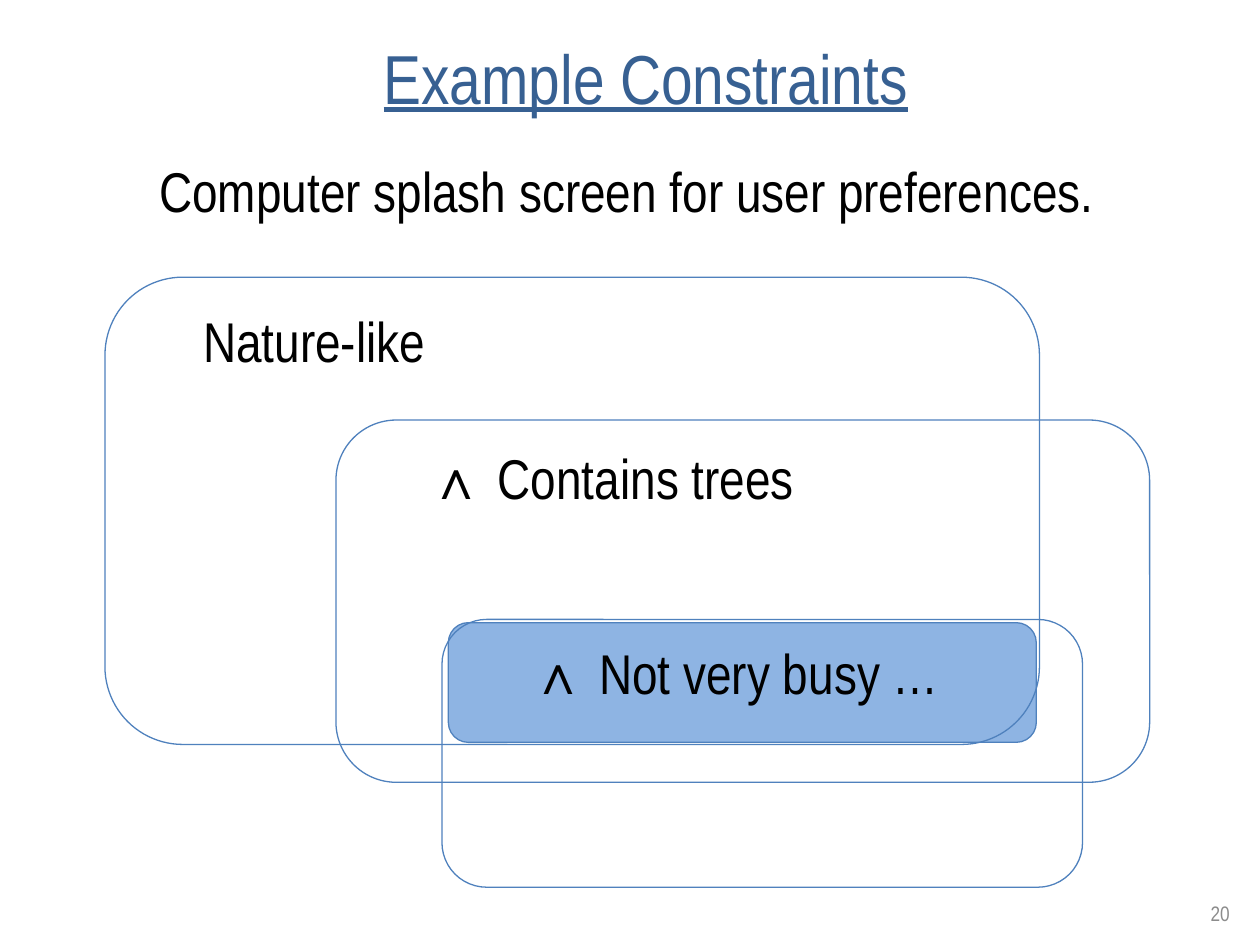
from dataclasses import dataclass

from pptx import Presentation
from pptx.dml.color import RGBColor
from pptx.enum.shapes import MSO_SHAPE
from pptx.enum.text import MSO_ANCHOR, PP_ALIGN
from pptx.util import Inches, Pt

ROUND = MSO_SHAPE.ROUNDED_RECTANGLE
TOP, MIDDLE = MSO_ANCHOR.TOP, MSO_ANCHOR.MIDDLE
LEFT, CENTER, RIGHT = PP_ALIGN.LEFT, PP_ALIGN.CENTER, PP_ALIGN.RIGHT

WIDE, HIGH = Inches(10), Inches(7.5)
COLS, ROWS = 120, 90


@dataclass(frozen=True)
class Theme:
    font: str = "Arial Narrow"
    ink: str = "000000"
    head: str = "376092"
    mute: str = "8C8C8C"
    edge: str = "4F81BD"
    core: str = "8EB4E3"
    title: float = 39.6
    body: float = 32
    small: float = 12
    line: float = 0.75


THEME = Theme()

# Each set: label, then column, row, columns wide, rows high
SETS = [
    ("Nature-like", (10, 26.4, 89, 44.5)),
    ("∧ Contains trees", (32, 40, 77.5, 34.5)),
    ("∧ Not very busy …", (42.1, 59, 61, 25.5)),
]
SHARED = (42.7, 59.3, 56, 11.4)


def place(cell):
    """Turn grid columns and rows into slide lengths."""
    col, row, wide, high = cell
    return (round(col * WIDE / COLS), round(row * HIGH / ROWS),
            round(wide * WIDE / COLS), round(high * HIGH / ROWS))


def write(shape, text, size, color, align=LEFT, anchor=TOP, wrap=True, **form):
    """Fill a shape with one styled paragraph and return it."""
    frame = shape.text_frame
    frame.word_wrap = wrap
    frame.vertical_anchor = anchor
    para = frame.paragraphs[0]
    para.alignment = align
    run = para.add_run()
    run.text = text
    looks = {"name": THEME.font, "size": Pt(size), **form}
    for key, value in looks.items():
        setattr(run.font, key, value)
    run.font.color.rgb = RGBColor.from_string(color)
    return para


def add_text(slide, cell, *words, **form):
    write(slide.shapes.add_textbox(*place(cell)), *words, **form)


def add_box(slide, cell, fill=None):
    box = slide.shapes.add_shape(ROUND, *place(cell))
    box.shadow.inherit = False
    if fill:
        box.fill.solid()
        box.fill.fore_color.rgb = RGBColor.from_string(fill)
    else:
        box.fill.background()
    box.line.color.rgb = RGBColor.from_string(THEME.edge)
    box.line.width = Pt(THEME.line)
    return box


def add_set(slide, label, cell):
    """Draw an open box whose label has a first-line indent."""
    para = write(add_box(slide, cell), label, THEME.body, THEME.ink, wrap=False)
    props = para._p.get_or_add_pPr()
    for key, value in {"marL": 0, "indent": Inches(0.5)}.items():
        props.set(key, str(value))


def main():
    deck = Presentation()
    deck.slide_width, deck.slide_height = WIDE, HIGH
    slide = deck.slides.add_slide(deck.slide_layouts[6])
    add_box(slide, SHARED, THEME.core)
    add_text(slide, (6, 3.6, 111, 7.4), "Example Constraints", THEME.title,
             THEME.head, align=CENTER, anchor=MIDDLE, underline=True)
    add_text(slide, (87.7, 85.1, 30.6, 3.8), "20", THEME.small,
             THEME.mute, align=RIGHT, anchor=MIDDLE)
    for label, cell in SETS:
        add_set(slide, label, cell)
    add_text(slide, (14, 14.3, 95, 7.7),
             "Computer splash screen for user preferences.",
             THEME.body, THEME.ink)
    deck.save("out.pptx")


if __name__ == "__main__":
    main()
